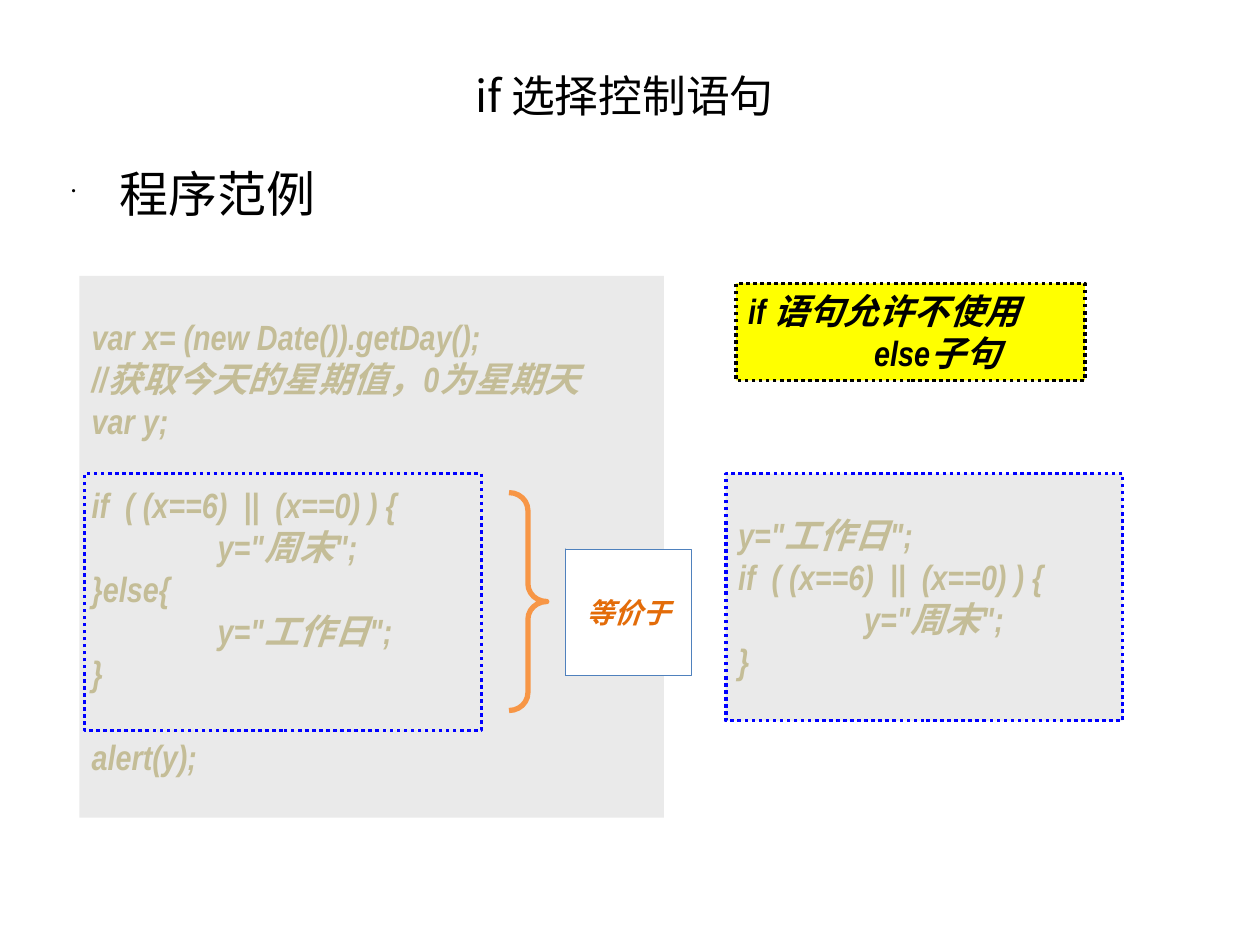
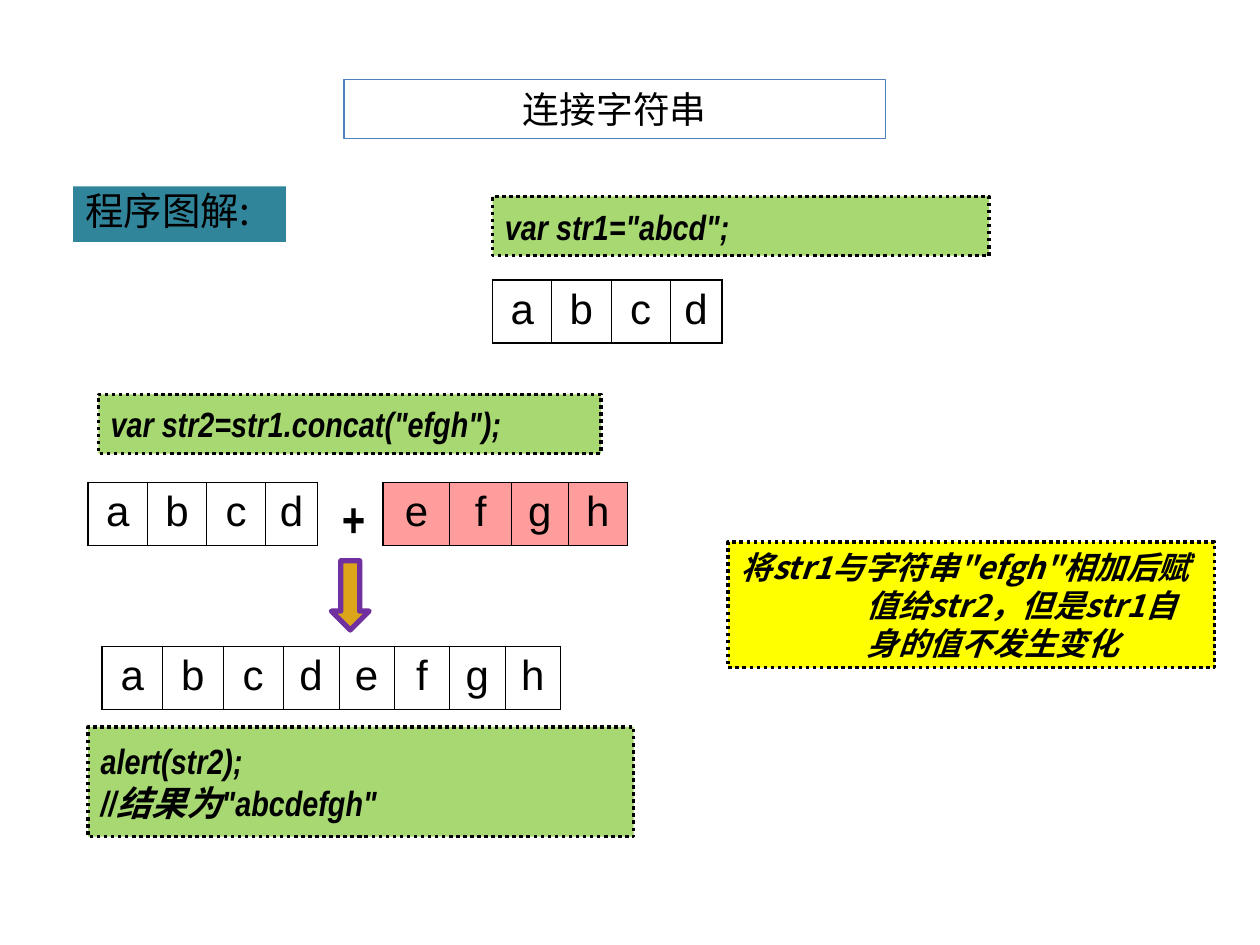
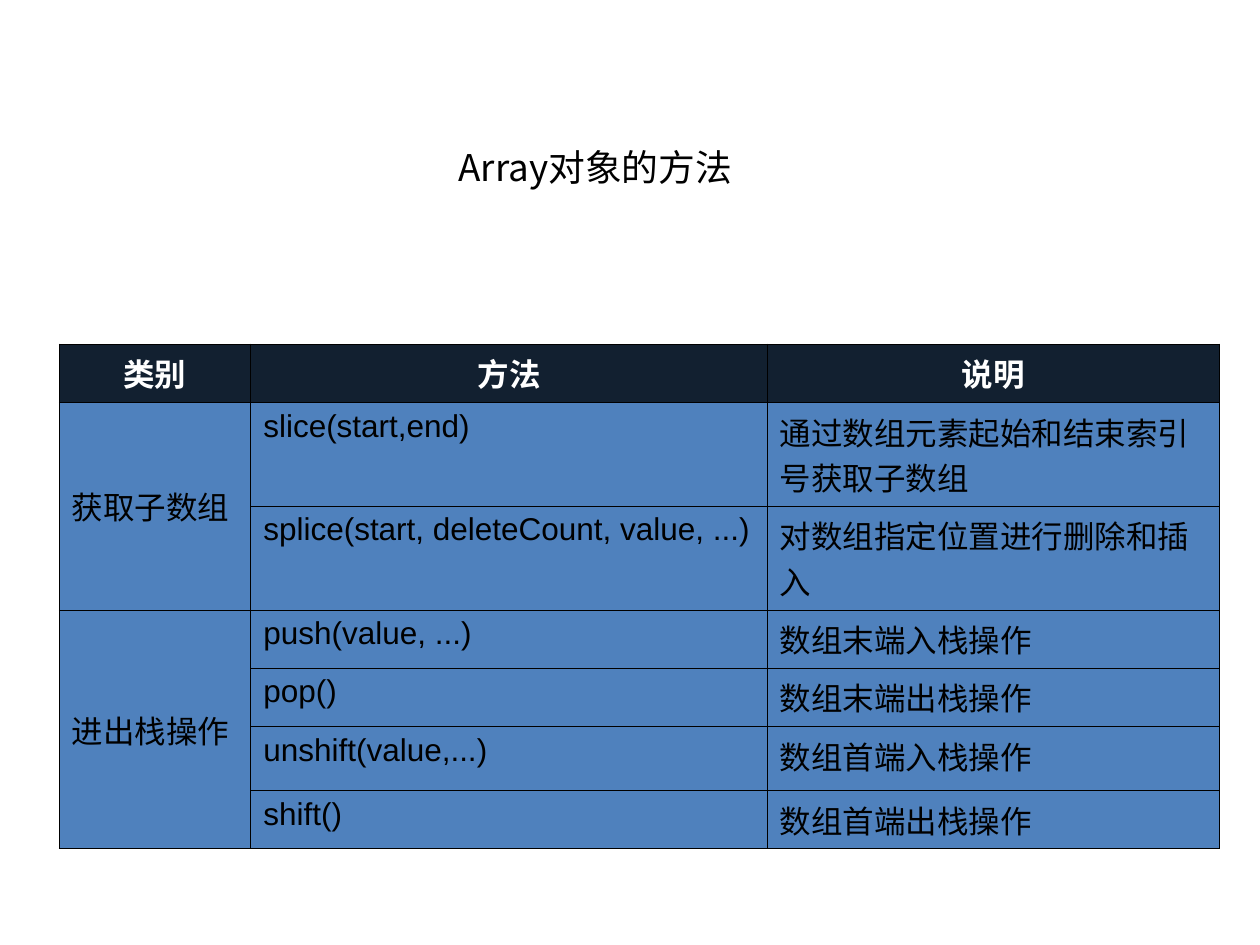
"""Builds three slides on JavaScript control flow, strings and arrays."""
import collections
import dataclasses

import lxml.etree
import pptx
import pptx.dml.color
import pptx.enum.dml
import pptx.enum.shapes
import pptx.enum.text
import pptx.oxml.ns
import pptx.util

Inches = pptx.util.Inches
Shape = pptx.enum.shapes.MSO_SHAPE
Align = pptx.enum.text.PP_ALIGN
Anchor = pptx.enum.text.MSO_ANCHOR


@dataclasses.dataclass(frozen=True)
class Theme:
    """Colours, fonts and type sizes shared by the slides."""
    black: str = "000000"
    white: str = "FFFFFF"
    code_ink: str = "C4BD97"
    code_panel: str = "EAEAEA"
    frame_blue: str = "0000FF"
    accent_blue: str = "4F81BD"
    note_yellow: str = "FFFF00"
    code_green: str = "A7D872"
    label_teal: str = "31859B"
    brace_orange: str = "F79646"
    arrow_text: str = "E36C09"
    arrow_gold: str = "DCA51A"
    arrow_purple: str = "7030A0"
    added_pink: str = "FF9D9D"
    header_navy: str = "122030"
    cjk: str = "Noto Sans CJK SC"
    sans: str = "Arial"
    narrow: str = "Arial Narrow"
    title_large: int = 25
    title_small: int = 21
    heading: int = 28
    label: int = 22
    code: int = 20
    note: int = 18
    arrow: int = 16
    letter: int = 24
    table: int = 18
    line_pitch: float = 1.2
    thin: float = 0.45
    thick: float = 1.08


THEME = Theme()


class Box(collections.namedtuple("Box", "left top width height")):
    """A rectangle in inches."""

    def inner(self, left, top, width, height):
        """Return a box whose place is measured from this one's corner."""
        return Box(self.left + left, self.top + top, width, height)

    def lengths(self):
        """Return the four measures as lengths."""
        return [Inches(value) for value in self]


def colour(value):
    """Turn a hex string into a colour."""
    return pptx.dml.color.RGBColor.from_string(value)


def add_element(parent, tag, **attributes):
    """Append a drawing element with attributes."""
    return lxml.etree.SubElement(parent, pptx.oxml.ns.qn(tag), attributes)


def write(frame, text, size, font=THEME.cjk, ink=THEME.black, bold=False, italic=False,
          align=Align.LEFT, anchor=Anchor.TOP, hang=0, spacing=None, bullet=None):
    """Fill a text frame; an empty line becomes space before the next paragraph."""
    frame.word_wrap = True
    frame.vertical_anchor = anchor
    frame.margin_left = frame.margin_right = Inches(0.1)
    frame.margin_top = frame.margin_bottom = Inches(0.05)
    para, gap = None, 0
    for line in text.split("\n"):
        if not line:
            gap += size * THEME.line_pitch
            continue
        para = frame.paragraphs[0] if para is None else frame.add_paragraph()
        para.alignment = align
        if spacing:
            para.line_spacing = spacing
        if gap:
            para.space_before = pptx.util.Pt(gap)
            gap = 0
        properties = para._p.get_or_add_pPr()
        if hang:
            properties.set("marL", str(Inches(hang)))
            properties.set("indent", str(-Inches(hang)))
        if bullet:
            add_element(properties, "a:buSzPct", val="25000")
            add_element(properties, "a:buChar", char=bullet)
        span = para.add_run()
        span.text = line
        span.font.size = pptx.util.Pt(size)
        span.font.name = font
        span.font.bold, span.font.italic = bold, italic
        span.font.color.rgb = colour(ink)
        add_element(span._r.get_or_add_rPr(), "a:ea", typeface=THEME.cjk)


def paint(shape, fill=None, line=None, weight=0.75, dotted=False):
    """Set the fill and outline of a shape and drop its shadow."""
    shape.shadow.inherit = False
    if fill:
        shape.fill.solid()
        shape.fill.fore_color.rgb = colour(fill)
    else:
        shape.fill.background()
    if line:
        shape.line.color.rgb = colour(line)
        shape.line.width = pptx.util.Pt(weight)
        if dotted:
            shape.line.dash_style = pptx.enum.dml.MSO_LINE.ROUND_DOT
    else:
        shape.line.fill.background()


def add_shape(page, kind, box, **style):
    """Add a painted preset shape."""
    shape = page.shapes.add_shape(kind, *box.lengths())
    paint(shape, **style)
    return shape


def add_code(page, box, text, ink=THEME.black, size=THEME.code, font=THEME.narrow,
             anchor=Anchor.MIDDLE, **style):
    """Add a panel of bold italic text with hanging lines."""
    panel = add_shape(page, Shape.RECTANGLE, box, **style)
    write(panel.text_frame, text, size, font=font, ink=ink, bold=True, italic=True,
          anchor=anchor, hang=1, spacing=pptx.util.Pt(size * THEME.line_pitch))


def add_note(page, box, text, **style):
    """Add a yellow remark with a dotted edge."""
    add_code(page, box, text, anchor=Anchor.TOP, fill=THEME.note_yellow,
             line=THEME.black, weight=2, dotted=True, **style)


def add_page(deck, title, box, size):
    """Add a title-only slide and format its title."""
    page = deck.slides.add_slide(deck.slide_layouts[5])
    holder = page.shapes.title
    holder.left, holder.top, holder.width, holder.height = box.lengths()
    write(holder.text_frame, title, size, align=Align.CENTER, anchor=Anchor.MIDDLE)
    return page


def add_striped_arrow(page, box, text):
    """Add a right arrow with two stripes at its tail and a label."""
    upper, lower = box.height / 4, box.height * 3 / 4
    neck, body = box.width * 3 / 4, box.width * 5 / 32
    builder = page.shapes.build_freeform(neck, 0, scale=Inches(1))
    builder.add_line_segments([(neck, upper), (body, upper), (body, lower), (neck, lower),
                               (neck, box.height), (box.width, box.height / 2)])
    for start, end in ((box.width / 16, box.width / 8), (0, box.width / 32)):
        builder.move_to(start, upper)
        builder.add_line_segments([(start, lower), (end, lower), (end, upper)])
    arrow = builder.convert_to_shape(Inches(box.left), Inches(box.top))
    paint(arrow, fill=THEME.white, line=THEME.accent_blue)
    write(arrow.text_frame, text, THEME.arrow, ink=THEME.arrow_text, bold=True,
          italic=True, align=Align.CENTER, anchor=Anchor.MIDDLE)


def add_comparison(page, box):
    """Place the full program beside its shorter equivalent."""
    blue_frame = dict(line=THEME.frame_blue, weight=2, dotted=True)
    add_code(page, box.inner(0, 0, 4.64, 4.3), """var x= (new Date()).getDay();
//获取今天的星期值，0为星期天
var y;

if  ( (x==6)  ||  (x==0) ) {
\ty="周末";
}else{
\ty="工作日";
}

alert(y);""", ink=THEME.code_ink, fill=THEME.code_panel)
    add_note(page, box.inner(5.21, 0.06, 2.77, 0.77), "if 语句允许不使用else子句")
    add_code(page, box.inner(5.13, 1.57, 3.15, 1.96), """y="工作日";
if  ( (x==6)  ||  (x==0) ) {
\ty="周末";
}""", ink=THEME.code_ink, fill=THEME.code_panel, **blue_frame)
    brace = add_shape(page, Shape.RIGHT_BRACE, box.inner(3.41, 1.72, 0.3, 1.73),
                      line=THEME.brace_orange, weight=3)
    brace.adjustments[0] = 0.47
    add_shape(page, Shape.RECTANGLE, box.inner(0.04, 1.57, 3.15, 2.04), **blue_frame)
    add_striped_arrow(page, box.inner(3.86, 2.17, 1.12, 0.83), "等价于")


def build_if_page(deck):
    """Build the slide on the if statement."""
    page = add_page(deck, "if 选择控制语句", Box(1.48, 0.47, 6.95, 0.56), THEME.title_large)
    heading = page.shapes.add_textbox(*Box(0.47, 1.25, 3.2, 0.59).lengths())
    write(heading.text_frame, "程序范例", THEME.heading, hang=0.38, bullet="•")
    add_comparison(page, Box(0.63, 2.19, 8.28, 4.3))


def format_cell(cell, fill, edges):
    """Set a cell's fill and its left, right, top and bottom line widths."""
    properties = cell._tc.get_or_add_tcPr()
    for side, width in zip("LRTB", edges):
        line = add_element(properties, "a:ln" + side, w=str(pptx.util.Pt(width)))
        add_element(add_element(line, "a:solidFill"), "a:srgbClr", val=THEME.black)
    if fill:
        cell.fill.solid()
        cell.fill.fore_color.rgb = colour(fill)
    else:
        cell.fill.background()


def add_grid(page, left, top, widths, heights):
    """Add a plain table with the given column widths and row heights."""
    box = Box(left, top, sum(widths), sum(heights))
    table = page.shapes.add_table(len(heights), len(widths), *box.lengths()).table
    table.first_row = table.horz_banding = False
    for column, width in zip(table.columns, widths):
        column.width = Inches(width)
    for row, height in zip(table.rows, heights):
        row.height = Inches(height)
    return table


def add_letters(page, left, top, letters, widths, fill=None):
    """Draw a string as a row of one-letter cells."""
    table = add_grid(page, left, top, widths, [0.5])
    last = len(letters) - 1
    for index, letter in enumerate(letters):
        cell = table.cell(0, index)
        write(cell.text_frame, letter, THEME.letter, font=THEME.sans, align=Align.CENTER)
        format_cell(cell, fill, (THEME.thick if index == 0 else THEME.thin,
                                 THEME.thick if index == last else THEME.thin,
                                 THEME.thick, THEME.thick))


def add_concatenation(page, box):
    """Show two strings, the arrow between and the joined result."""
    add_letters(page, box.left, box.top, "abcd", [0.47] * 3 + [0.41])
    add_letters(page, box.left + 2.34, box.top, "efgh", [0.53, 0.49, 0.45, 0.47],
                fill=THEME.added_pink)
    plus = page.shapes.add_textbox(*box.inner(1.91, 0, 0.47, 0.57).lengths())
    write(plus.text_frame, "+", THEME.heading, font=THEME.narrow, bold=True, italic=True)
    add_letters(page, box.left + 0.11, box.top + 1.3, "abcdefgh", [0.48] * 3 + [0.44] * 5)
    add_shape(page, Shape.DOWN_ARROW, box.inner(1.93, 0.62, 0.3, 0.55),
              fill=THEME.arrow_gold, line=THEME.arrow_purple, weight=3)


def build_string_page(deck):
    """Build the slide on joining strings."""
    page = add_page(deck, "连接字符串", Box(2.73, 0.63, 4.3, 0.47), THEME.title_small)
    title = page.shapes.title
    title.fill.solid()
    title.fill.fore_color.rgb = colour(THEME.white)
    title.line.color.rgb = colour(THEME.accent_blue)
    title.line.width = pptx.util.Pt(0.75)
    label = add_shape(page, Shape.RECTANGLE, Box(0.58, 1.48, 1.69, 0.44),
                      fill=THEME.label_teal)
    write(label.text_frame, "程序图解:", THEME.label, hang=0.38, spacing=0.9)
    add_letters(page, 3.91, 2.22, "abcd", [0.47] * 3 + [0.41])
    for box, text in ((Box(3.91, 1.56, 3.94, 0.47), 'var str1="abcd";'),
                      (Box(0.78, 3.13, 3.99, 0.47), 'var str2=str1.concat("efgh");'),
                      (Box(0.7, 5.77, 4.33, 0.87), 'alert(str2);\n//结果为"abcdefgh"')):
        add_code(page, box, text, fill=THEME.code_green, line=THEME.black, weight=2,
                 dotted=True)
    add_note(page, Box(5.78, 4.3, 3.86, 1),
             '将str1与字符串"efgh"相加后赋值给str2，但是str1自身的值不发生变化',
             size=THEME.note, font=THEME.cjk)
    add_concatenation(page, Box(0.7, 3.83, 4.28, 1.8))


def add_methods(page, box):
    """Place the table of array methods, with merged category cells."""
    rows = [("类别", "方法", "说明"),
            ("获取子数组", "slice(start,end)", "通过数组元素起始和结束索引号获取子数组"),
            ("", "splice(start, deleteCount, value, ...)", "对数组指定位置进行删除和插入"),
            ("进出栈操作", "push(value, ...)", "数组末端入栈操作"),
            ("", "pop()", "数组末端出栈操作"),
            ("", "unshift(value,...)", "数组首端入栈操作"),
            ("", "shift()", "数组首端出栈操作")]
    table = add_grid(page, box.left, box.top, [1.52, 4.1, 3.59],
                     [0.4, 0.7, 0.7, 0.4, 0.4, 0.51, 0.4])
    for first, last in ((1, 2), (3, 6)):
        table.cell(first, 0).merge(table.cell(last, 0))
    for row, texts in enumerate(rows):
        header = row == 0
        for column, text in enumerate(texts):
            cell = table.cell(row, column)
            format_cell(cell, THEME.header_navy if header else THEME.accent_blue,
                        [THEME.thin] * 4)
            if text:
                write(cell.text_frame, text, THEME.table, font=THEME.sans, bold=header,
                      ink=THEME.white if header else THEME.black,
                      align=Align.CENTER if header else Align.LEFT)
            if column == 0 and not header:
                cell.vertical_anchor = Anchor.MIDDLE


def build_array_page(deck):
    """Build the slide on array methods."""
    page = add_page(deck, "Array对象的方法", Box(2.11, 1.09, 5.23, 0.47), THEME.title_small)
    add_methods(page, Box(0.47, 2.73, 9.21, 3.52))


def main():
    """Build and save the deck."""
    deck = pptx.Presentation()
    deck.slide_width, deck.slide_height = Inches(10), Inches(7.5)
    build_if_page(deck)
    build_string_page(deck)
    build_array_page(deck)
    deck.save("out.pptx")


if __name__ == "__main__":
    main()
